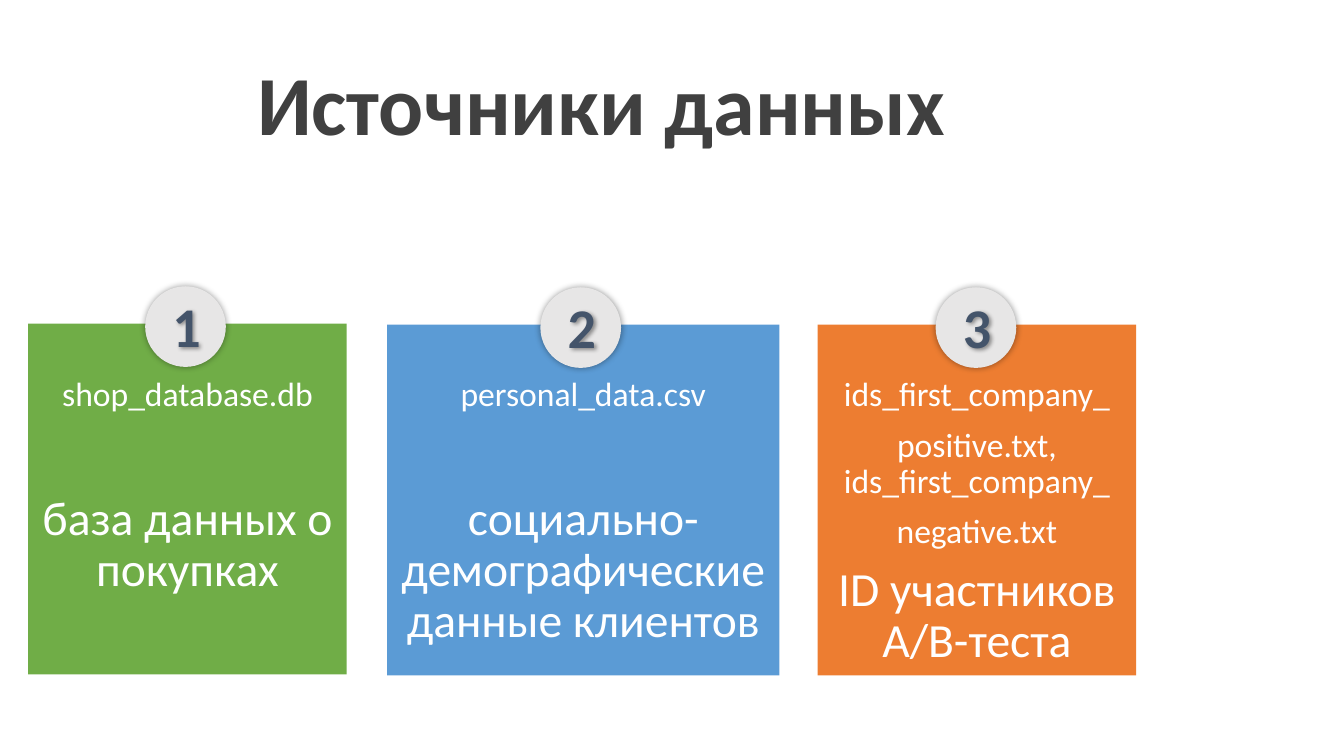
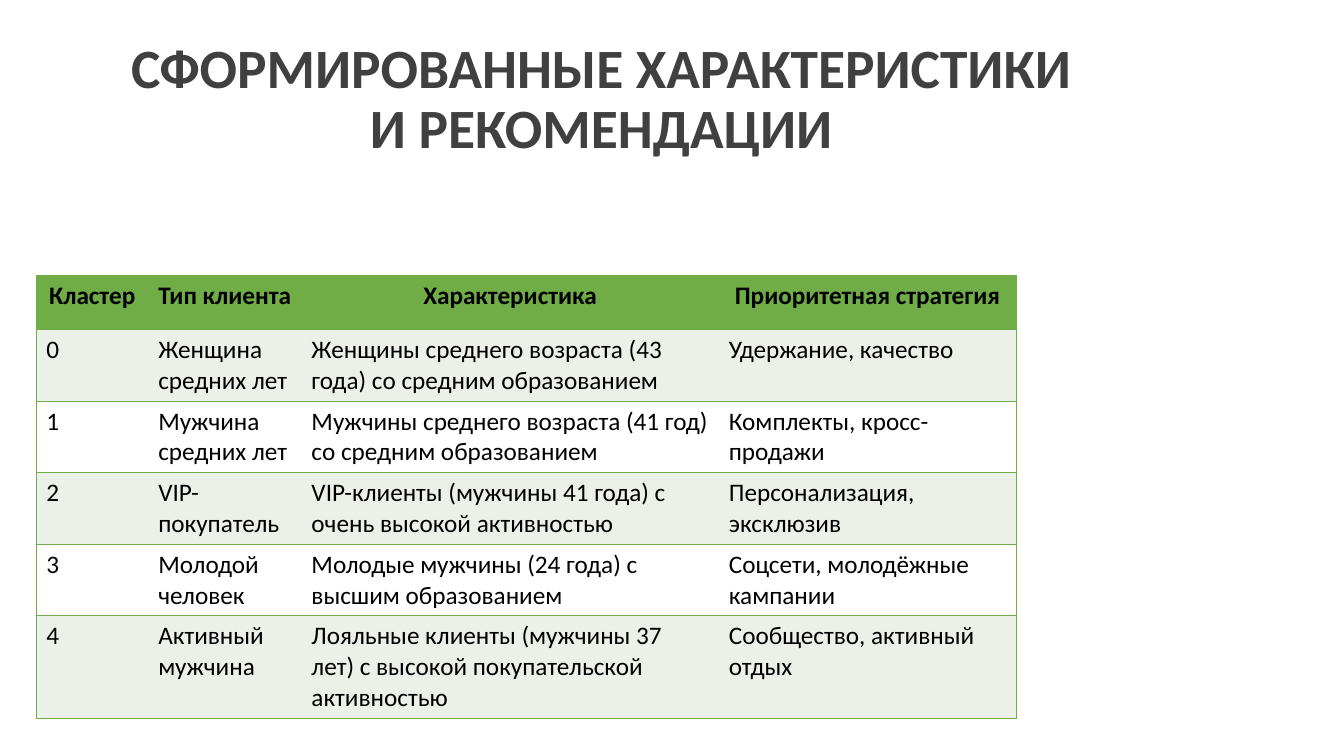
from dataclasses import dataclass
from lxml.etree import SubElement
from pptx import Presentation
from pptx.dml.color import RGBColor
from pptx.enum.shapes import MSO_SHAPE
from pptx.enum.text import MSO_ANCHOR, PP_ALIGN
from pptx.oxml.ns import qn
from pptx.util import Emu, Pt

FONT = "Calibri"
HEX = {
    "title": "404040",
    "green": "70AD47",
    "blue": "5B9BD5",
    "orange": "ED7D31",
    "badge": "E7E6E6",
    "digit": "44546A",
    "band": "EBF1E9",
    "white": "FFFFFF",
    "black": "000000",
}


@dataclass(frozen=True)
class Box:
    left: int
    top: int
    width: int
    height: int

    def emu(self) -> tuple:
        return px(self.left), px(self.top), px(self.width), px(self.height)


@dataclass(frozen=True)
class Card:
    box: Box
    color: str
    files: tuple
    label: str
    gap: int


CARDS = (
    Card(Box(28, 321, 316, 348), "green", ("shop_database.db",),
         "база данных о покупках", 57),
    Card(Box(384, 322, 389, 348), "blue", ("personal_data.csv",),
         "социально-демографические данные клиентов", 57),
    Card(Box(811, 322, 316, 348), "orange",
         ("ids_first_company_", "positive.txt, ids_first_company_", "negative.txt"),
         "ID участников A/B-теста", 10),
)
HEAD = ("Кластер", "Тип клиента", "Характеристика", "Приоритетная стратегия")
ROWS = (
    ("0", "Женщина средних лет",
     "Женщины среднего возраста (43 года) со средним образованием",
     "Удержание, качество"),
    ("1", "Мужчина средних лет",
     "Мужчины среднего возраста (41 год) со средним образованием",
     "Комплекты, кросс-продажи"),
    ("2", "VIP-покупатель",
     "VIP-клиенты (мужчины 41 года) с очень высокой активностью",
     "Персонализация, эксклюзив"),
    ("3", "Молодой человек",
     "Молодые мужчины (24 года) с высшим образованием",
     "Соцсети, молодёжные кампании"),
    ("4", "Активный мужчина",
     "Лояльные клиенты (мужчины 37 лет) с высокой покупательской активностью",
     "Сообщество, активный отдых"),
)
WIDTHS = (111, 152, 414, 295)
HEIGHTS = (54, 71, 71, 71, 71, 102)


def px(size: int) -> Emu:
    return Emu(size * 9144)


def rgb(name: str) -> RGBColor:
    return RGBColor.from_string(HEX[name])


def style(para, size: float, color: str, bold: bool = False,
          align=PP_ALIGN.CENTER) -> None:
    para.alignment = align
    for run in para.runs:
        run.font.name = FONT
        run.font.size = Pt(size)
        run.font.bold = bold
        run.font.color.rgb = rgb(color)


def add_text(slide, box: Box, text: str):
    shape = slide.shapes.add_textbox(*box.emu())
    shape.text_frame.word_wrap = True
    shape.text_frame.text = text
    return shape


def add_title(slide, text: str, size: float, height: int) -> None:
    frame = add_text(slide, Box(28, 35, 1137, height), "").text_frame
    frame.vertical_anchor = MSO_ANCHOR.MIDDLE
    para = frame.paragraphs[0]
    para.text = text
    para.line_spacing = 0.9
    style(para, size, "title", True)


def add_shape(slide, kind, box: Box, color: str):
    shape = slide.shapes.add_shape(kind, *box.emu())
    shape.shadow.inherit = False
    shape.fill.solid()
    shape.fill.fore_color.rgb = rgb(color)
    shape.line.fill.background()
    return shape


def add_glow(shape, blur: int, shift: int) -> None:
    shape.shadow.inherit = False
    effect = shape._element.spPr.find(qn("a:effectLst"))
    shadow = SubElement(effect, qn("a:outerShdw"), blurRad=str(Pt(blur)),
                        dist=str(Pt(shift)), dir="2700000", rotWithShape="0")
    color = SubElement(shadow, qn("a:srgbClr"), val=HEX["black"])
    SubElement(color, qn("a:alpha"), val="40000")


def add_badge(slide, left: int, top: int, digit: int) -> None:
    disc = add_shape(slide, MSO_SHAPE.OVAL, Box(left, top, 80, 80), "badge")
    add_glow(disc, 5, 0)
    label = add_text(slide, Box(left + 1, top, 80, 77), str(digit))
    add_glow(label, 3, 2)
    style(label.text_frame.paragraphs[0], 40, "digit", True)


def add_card(slide, card: Card, index: int) -> None:
    box = card.box
    add_shape(slide, MSO_SHAPE.RECTANGLE, box, card.color)
    text = "\n".join((*card.files, card.label))
    frame = add_text(slide, Box(box.left, 370, box.width, 292), text).text_frame
    for para in frame.paragraphs:
        para.line_spacing = 0.9
        para.space_before = Pt(10)
        style(para, 24, "white")
    last = frame.paragraphs[-1]
    last.space_before = Pt(card.gap)
    style(last, 34, "white")
    add_badge(slide, 144 + 392 * index, box.top - 37, index + 1)


def set_edges(cell, sides: str) -> None:
    props = cell._tc.get_or_add_tcPr()
    for spot, side in enumerate("LRTB"):
        shown = side in sides
        line = SubElement(props, qn(f"a:ln{side}"), w=str(Pt(1 if shown else 0)))
        props.insert(spot, line)
        if shown:
            fill = SubElement(line, qn("a:solidFill"))
            SubElement(fill, qn("a:srgbClr"), val=HEX["green"])
        else:
            SubElement(line, qn("a:noFill"))


def add_grid(slide) -> None:
    box = Box(36, 273, sum(WIDTHS), sum(HEIGHTS))
    table = slide.shapes.add_table(len(HEIGHTS), len(WIDTHS), *box.emu()).table
    for col, width in zip(table.columns, WIDTHS):
        col.width = px(width)
    for row, height in zip(table.rows, HEIGHTS):
        row.height = px(height)
    for r, texts in enumerate((HEAD, *ROWS)):
        color = "green" if r == 0 else "band" if r % 2 else "white"
        for c, text in enumerate(texts):
            cell = table.cell(r, c)
            cell.text_frame.text = text
            cell.fill.solid()
            cell.fill.fore_color.rgb = rgb(color)
            if r == 0:
                align = PP_ALIGN.CENTER
            else:
                align = PP_ALIGN.LEFT if c else PP_ALIGN.JUSTIFY
            style(cell.text_frame.paragraphs[0], 18, "black", r == 0, align)
            side = {0: "L", len(WIDTHS) - 1: "R"}.get(c, "")
            set_edges(cell, "TB" + side)


def main() -> None:
    deck = Presentation()
    deck.slide_width, deck.slide_height = px(1333), px(750)
    blank = deck.slide_layouts[6]

    slide = deck.slides.add_slide(blank)
    add_title(slide, "Источники данных", 60, 145)
    for index, card in enumerate(CARDS):
        add_card(slide, card, index)

    slide = deck.slides.add_slide(blank)
    add_title(slide, "СФОРМИРОВАННЫЕ ХАРАКТЕРИСТИКИ\vИ РЕКОМЕНДАЦИИ", 39.6, 130)
    add_grid(slide)

    deck.save("out.pptx")


if __name__ == "__main__":
    main()
